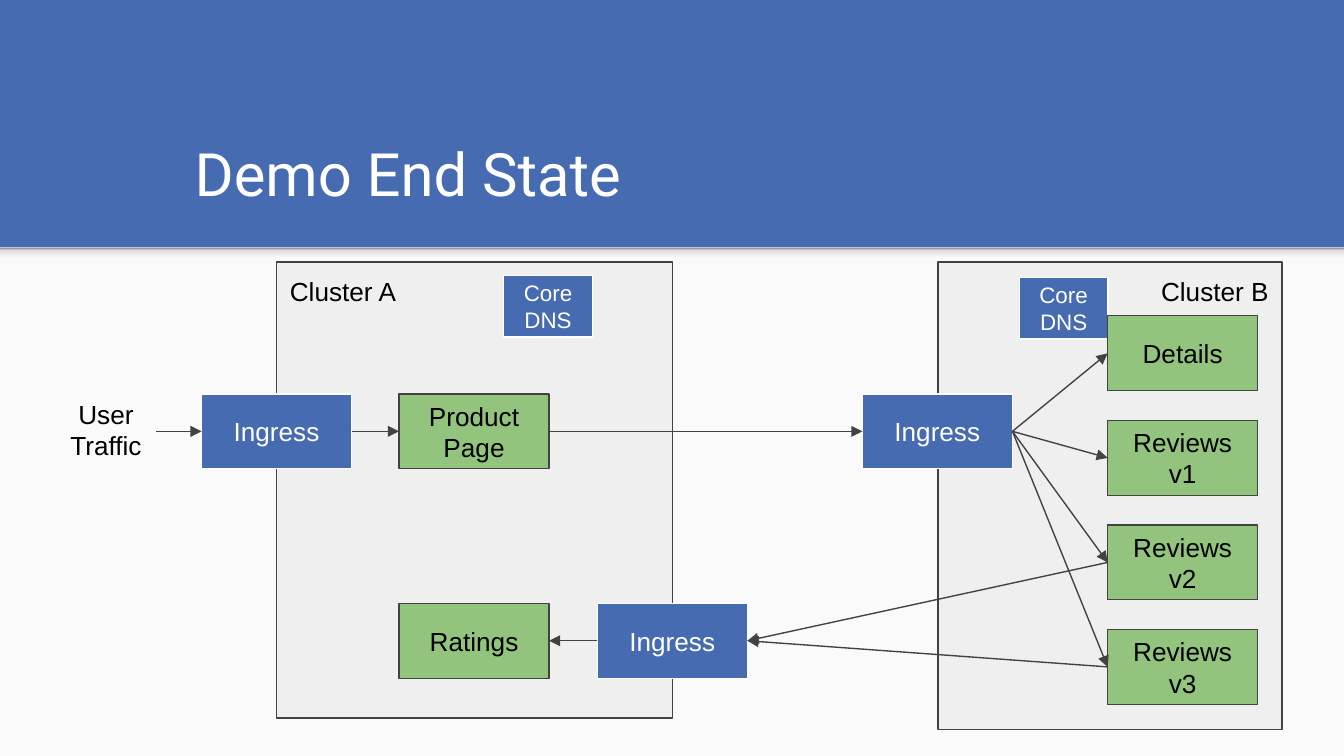
from dataclasses import dataclass
from typing import Any, Optional

from lxml import etree
from pptx import Presentation
from pptx.dml.color import RGBColor
from pptx.enum import shapes, text
from pptx.oxml.ns import qn
from pptx.util import Pt


@dataclass(frozen=True)
class Theme:
    blue: str = "466BB0"
    green: str = "93C47D"
    panel: str = "EFEFEF"
    paper: str = "FAFAFA"
    ink: str = "424242"
    black: str = "000000"
    white: str = "FFFFFF"
    shade: tuple = ((0, "F9F9F9"), (36, "F9F9F9"), (80, "DEDEDE"), (100, "999999"))
    body_font: str = "Arial"
    title_font: str = "Roboto"
    title: float = 32
    body: float = 14
    small: float = 12
    line: float = 0.75
    inset: float = 7.2


T = Theme()
LEFT, CENTER, RIGHT = text.PP_ALIGN.LEFT, text.PP_ALIGN.CENTER, text.PP_ALIGN.RIGHT
TOP, MIDDLE, BOTTOM = text.MSO_ANCHOR.TOP, text.MSO_ANCHOR.MIDDLE, text.MSO_ANCHOR.BOTTOM


@dataclass(frozen=True)
class Style:
    fill: Optional[str]
    line: Optional[str]
    color: str
    size: float = T.body
    font: str = T.body_font
    align: Any = CENTER
    anchor: Any = MIDDLE


@dataclass(frozen=True)
class Box:
    label: str
    x: float
    y: float
    w: float
    h: float
    style: Style


SERVICE = Style(T.green, T.ink, T.black)
INGRESS = Style(T.blue, T.white, T.white)
DNS = Style(T.blue, T.white, T.white, T.small)
CLUSTER_A = Style(T.panel, T.ink, T.black, align=LEFT, anchor=TOP)
CLUSTER_B = Style(T.panel, T.ink, T.black, align=RIGHT, anchor=TOP)
LABEL = Style(None, None, T.black, anchor=TOP)
TITLE = Style(None, None, T.white, T.title, T.title_font, LEFT, BOTTOM)
BAND = Style(T.paper, None, T.black)

NODE_W, NODE_H = 80.4, 40.2
DNS_W, DNS_H = 47.6, 33
UPPER_ROW, LOWER_ROW = 211, 323.2
SERVICE_X, STACK_X = 213.8, 593.4
STACK_Y, STACK_STEP = 169.2, 56
BAND_Y = 132.6


def node(label: str, x: float, y: float, style: Style) -> Box:
    return Box(label, x, y, NODE_W, NODE_H, style)


PANELS = [
    Box("Cluster B", 502.4, 140.4, 184.4, 250.4, CLUSTER_B),
    Box("Cluster A", 148.2, 140.4, 212, 244.4, CLUSTER_A),
]
NODES = {
    "user": Box("User Traffic", 29.9, 206, 53.8, 50.2, LABEL),
    "entry": node("Ingress", 108, UPPER_ROW, INGRESS),
    "product": node("Product Page", SERVICE_X, UPPER_ROW, SERVICE),
    "ratings": node("Ratings", SERVICE_X, LOWER_ROW, SERVICE),
    "return": node("Ingress", 320, LOWER_ROW, INGRESS),
    "remote": node("Ingress", 462, UPPER_ROW, INGRESS),
    "dns a": Box("CoreDNS", 269.8, 147.6, DNS_W, DNS_H, DNS),
    "dns b": Box("CoreDNS", 546, 148.6, DNS_W, DNS_H, DNS),
}
STACK = ["Details", "Reviews v1", "Reviews v2", "Reviews v3"]
NODES.update({name: node(name, STACK_X, STACK_Y + i * STACK_STEP, SERVICE)
              for i, name in enumerate(STACK)})

RIGHTWARD = [("user", "entry"), ("entry", "product"), ("product", "remote"),
             *(("remote", name) for name in STACK)]
LEFTWARD = [("Reviews v2", "return"), ("Reviews v3", "return"), ("return", "ratings")]
LEFT_SITE, RIGHT_SITE = 1, 3


def rgb(value: str) -> RGBColor:
    return RGBColor.from_string(value)


def apply(target: Any, values: dict) -> None:
    for name, value in values.items():
        setattr(target, name, value)


def draw_box(s: Any, box: Box) -> Any:
    st = box.style
    place = [Pt(v) for v in (box.x, box.y, box.w, box.h)]
    if st.fill:
        sp = s.shapes.add_shape(shapes.MSO_SHAPE.RECTANGLE, *place)
        sp.shadow.inherit = False
        sp.fill.solid()
        sp.fill.fore_color.rgb = rgb(st.fill)
        if st.line:
            sp.line.color.rgb = rgb(st.line)
            sp.line.width = Pt(T.line)
        else:
            sp.line.fill.background()
    else:
        sp = s.shapes.add_textbox(*place)
    if box.label:
        tf = sp.text_frame
        apply(tf, {"word_wrap": True, "vertical_anchor": st.anchor})
        apply(tf, {f"margin_{side}": Pt(T.inset) for side in ("left", "right", "top", "bottom")})
        p = tf.paragraphs[0]
        p.alignment = st.align
        r = p.add_run()
        r.text = box.label
        apply(r.font, {"name": st.font, "size": Pt(st.size)})
        r.font.color.rgb = rgb(st.color)
    return sp


def shade(sp: Any) -> None:
    """Fade from the darkest stop at the top edge downwards."""
    sp.fill.gradient()
    sp.fill.gradient_angle = 90
    stops = sp._element.spPr.find(qn("a:gradFill")).find(qn("a:gsLst"))
    for old in list(stops):
        stops.remove(old)
    for percent, color in T.shade:
        stop = etree.SubElement(stops, qn("a:gs"), pos=str(percent * 1000))
        etree.SubElement(stop, qn("a:srgbClr"), val=color)


def draw_arrow(s: Any, start: Any, end: Any, start_site: int, end_site: int) -> None:
    line = s.shapes.add_connector(shapes.MSO_CONNECTOR.STRAIGHT, 0, 0, 0, 0)
    line.begin_connect(start, start_site)
    line.end_connect(end, end_site)
    line.line.color.rgb = rgb(T.ink)
    line.line.width = Pt(T.line)
    pr = line._element.spPr
    etree.SubElement(pr.find(qn("a:ln")), qn("a:tailEnd"), type="triangle")
    etree.SubElement(pr, qn("a:effectLst"))


def main() -> None:
    prs = Presentation()
    apply(prs, {"slide_width": Pt(720), "slide_height": Pt(405)})
    s = prs.slides.add_slide(prs.slide_layouts[6])
    s.background.fill.solid()
    s.background.fill.fore_color.rgb = rgb(T.blue)

    draw_box(s, Box("", 0, BAND_Y, 720, 405 - BAND_Y, BAND))
    shade(draw_box(s, Box("", 0, BAND_Y, 720, 8.6, BAND)))
    draw_box(s, Box("Demo End State", 97.2, 58.3, 587.5, 60.5, TITLE))
    for panel in PANELS:
        draw_box(s, panel)
    drawn = {name: draw_box(s, box) for name, box in NODES.items()}
    for start, end in RIGHTWARD:
        draw_arrow(s, drawn[start], drawn[end], RIGHT_SITE, LEFT_SITE)
    for start, end in LEFTWARD:
        draw_arrow(s, drawn[start], drawn[end], LEFT_SITE, RIGHT_SITE)
    prs.save("out.pptx")


if __name__ == "__main__":
    main()
